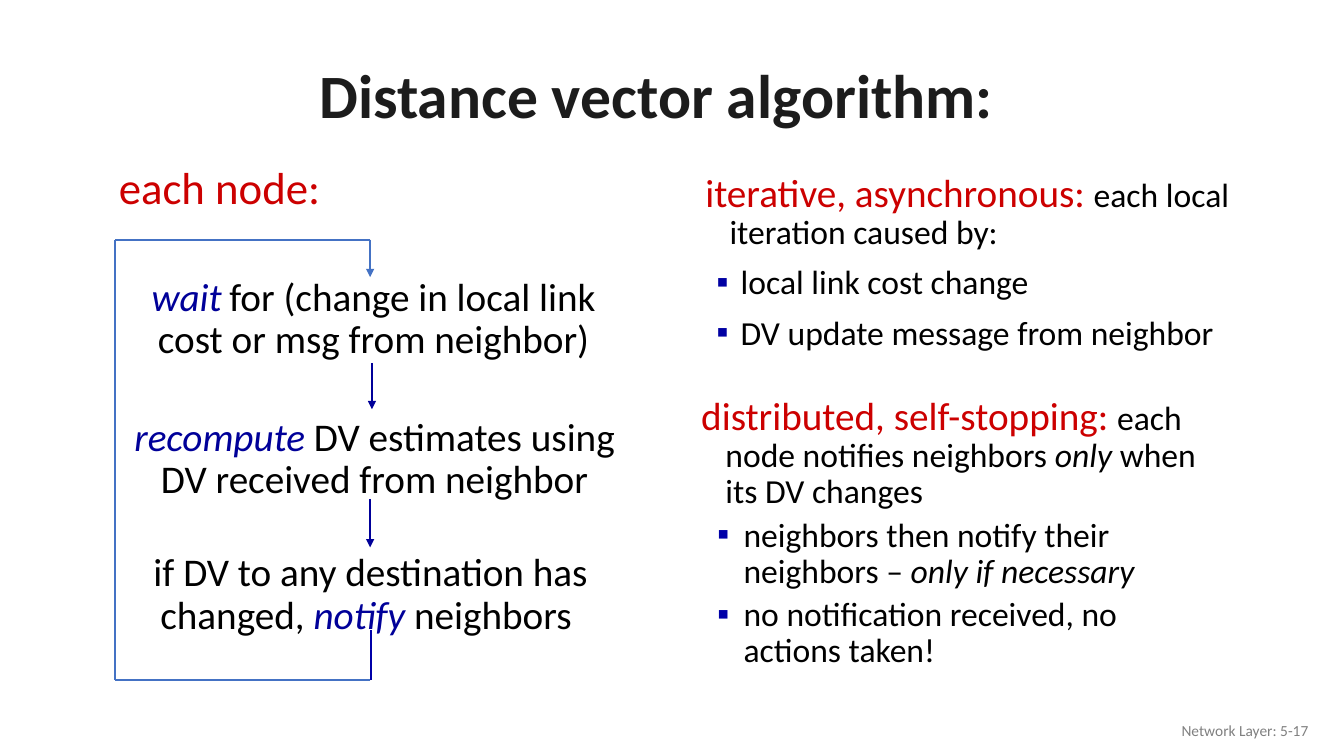
"""Build the distance vector algorithm slide."""
from dataclasses import dataclass

import lxml.etree
import pptx
import pptx.dml.color
import pptx.enum.shapes
import pptx.enum.text
import pptx.oxml.ns
import pptx.util

RED, NAVY, BLACK, STEEL = "CC0000", "000099", "000000", "4472C4"
ALIGN = pptx.enum.text.PP_ALIGN
ANCHOR = pptx.enum.text.MSO_ANCHOR
Pt = pptx.util.Pt
qn = pptx.oxml.ns.qn


@dataclass(frozen=True)
class Span:
    text: str
    size: float = 24
    color: str = BLACK
    bold: bool = False
    italic: bool = False


@dataclass(frozen=True)
class Para:
    spans: tuple[Span, ...]
    align: ALIGN = ALIGN.LEFT
    spacing: float = 0.9
    before: float = 0
    margin: float = 0
    indent: float = 0
    bullet: str = ""


@dataclass(frozen=True)
class Box:
    left: float
    top: float
    width: float
    height: float
    paras: tuple[Para, ...]
    anchor: ANCHOR = ANCHOR.TOP
    wrap: bool = True


@dataclass(frozen=True)
class Line:
    x1: float
    y1: float
    x2: float
    y2: float
    color: str
    arrow: bool = False


def rgb(color: str) -> pptx.dml.color.RGBColor:
    """Turn a hex string into a colour."""
    return pptx.dml.color.RGBColor.from_string(color)


def add_para(paragraph, para: Para) -> None:
    """Fill one paragraph run by run."""
    props = paragraph._p.get_or_add_pPr()
    if para.margin:
        props.set("marL", str(Pt(para.margin)))
        props.set("indent", str(Pt(para.indent)))
    if para.bullet:
        tint = lxml.etree.SubElement(props, qn("a:buClr"))
        lxml.etree.SubElement(tint, qn("a:srgbClr")).set("val", para.bullet)
        lxml.etree.SubElement(props, qn("a:buFont")).set("typeface", "Wingdings")
        props[-1].set("typeface", "Calibri")
        lxml.etree.SubElement(props, qn("a:buChar")).set("char", "▪")
    paragraph.alignment = para.align
    paragraph.line_spacing = para.spacing
    paragraph.space_before = Pt(para.before)
    for span in para.spans:
        run = paragraph.add_run()
        run.text = span.text
        run.font.name = "Calibri"
        run.font.size = Pt(span.size)
        run.font.bold = span.bold
        run.font.italic = span.italic
        run.font.color.rgb = rgb(span.color)


def add_box(page, box: Box) -> None:
    """Draw one text box."""
    shape = page.shapes.add_textbox(Pt(box.left), Pt(box.top), Pt(box.width), Pt(box.height))
    frame = shape.text_frame
    frame.word_wrap = box.wrap
    frame.vertical_anchor = box.anchor
    for index, para in enumerate(box.paras):
        add_para(frame.add_paragraph() if index else frame.paragraphs[0], para)


def add_line(page, line: Line) -> None:
    """Draw one straight line, with an arrowhead if asked."""
    connector = page.shapes.add_connector(
        pptx.enum.shapes.MSO_CONNECTOR.STRAIGHT,
        Pt(line.x1), Pt(line.y1), Pt(line.x2), Pt(line.y2))
    connector.line.color.rgb = rgb(line.color)
    connector.line.width = Pt(1.5)
    if line.arrow:
        outline = connector.line._get_or_add_ln()
        lxml.etree.SubElement(outline, qn("a:tailEnd")).set("type", "triangle")
    lxml.etree.SubElement(connector._element.spPr, qn("a:effectLst"))


def step(left: float, top: float, *spans: Span) -> Box:
    """Describe one centred step of the loop."""
    return Box(left, top, 363.6, 68, (Para(spans, ALIGN.CENTER),))


def lead(heading: str, *spans: Span) -> Para:
    """Describe a red heading that runs on into text."""
    return Para((Span(heading, 28, RED), *spans), margin=28, indent=-17.3)


def cause(text: str) -> Para:
    """Describe a bulleted cause of an iteration."""
    return Para((Span(text),), before=10, margin=36, indent=-17.3, bullet="0000A3")


def effect(*spans: Span) -> Para:
    """Describe a bulleted effect of a change."""
    return Para(spans, before=5, margin=41, indent=-18.7, bullet="0000A8")


BOXES = (
    Box(55, 35.3, 828, 70.6,
        (Para((Span("Distance vector algorithm:", 44, "1C1C1C", bold=True),), ALIGN.CENTER),),
        ANCHOR.MIDDLE),
    Box(725.8, 507.6, 216, 28.8,
        (Para((Span("Network Layer: 5-17", 11, "808080"),), ALIGN.RIGHT, 1),), ANCHOR.MIDDLE),
    Box(77, 110.2, 159.8, 46,
        (Para((Span("each node:", 32, RED),), ALIGN.CENTER, 1),), wrap=False),
    step(85, 194.4, Span("wait", 28, NAVY, italic=True), Span(" ", 24),
         Span("for (change in local link cost or msg from neighbor)", 28)),
    step(85.7, 294.4, Span("recompute", 28, NAVY, italic=True),
         Span(" DV estimates using DV received from neighbor", 28)),
    step(82.8, 391.4, Span("if DV to any destination has changed, ", 28),
         Span("notify", 28, NAVY, italic=True), Span(" neighbors ", 28)),
    Box(486, 120.2, 425.5, 155.5, (
        lead("iterative, asynchronous: ", Span("each local iteration caused by:")),
        cause("local link cost change"),
        cause("DV update message from neighbor"))),
    Box(483.1, 279.4, 388.8, 229.7, (
        lead("distributed, self-stopping: ", Span("each node notifies neighbors "),
             Span("only", italic=True), Span(" when its DV changes")),
        effect(Span("neighbors then notify their neighbors – "),
               Span("only if necessary", italic=True)),
        effect(Span("no notification received, no actions taken!")))),
)

LOOP_LEFT, LOOP_TOP, LOOP_RIGHT, LOOP_BOTTOM = 82.4, 171.2, 264.4, 486
LINES = (
    Line(265.7, 259.2, 265.7, 292.3, NAVY, True),
    Line(264.4, 356.4, 264.4, 391, NAVY, True),
    Line(265, LOOP_BOTTOM, 265, 450, "0000A8"),
    Line(LOOP_RIGHT, LOOP_TOP, LOOP_RIGHT, 198, STEEL, True),
    Line(LOOP_LEFT, LOOP_BOTTOM, LOOP_RIGHT, LOOP_BOTTOM, STEEL),
    Line(LOOP_LEFT, LOOP_TOP, LOOP_RIGHT, LOOP_TOP, STEEL),
    Line(LOOP_LEFT, LOOP_TOP, LOOP_LEFT, LOOP_BOTTOM, STEEL),
)


def main() -> None:
    """Build and save the deck."""
    deck = pptx.Presentation()
    deck.slide_width, deck.slide_height = Pt(960), Pt(540)
    page = deck.slides.add_slide(deck.slide_layouts[6])
    for box in BOXES:
        add_box(page, box)
    for line in LINES:
        add_line(page, line)
    deck.save("out.pptx")


if __name__ == "__main__":
    main()
